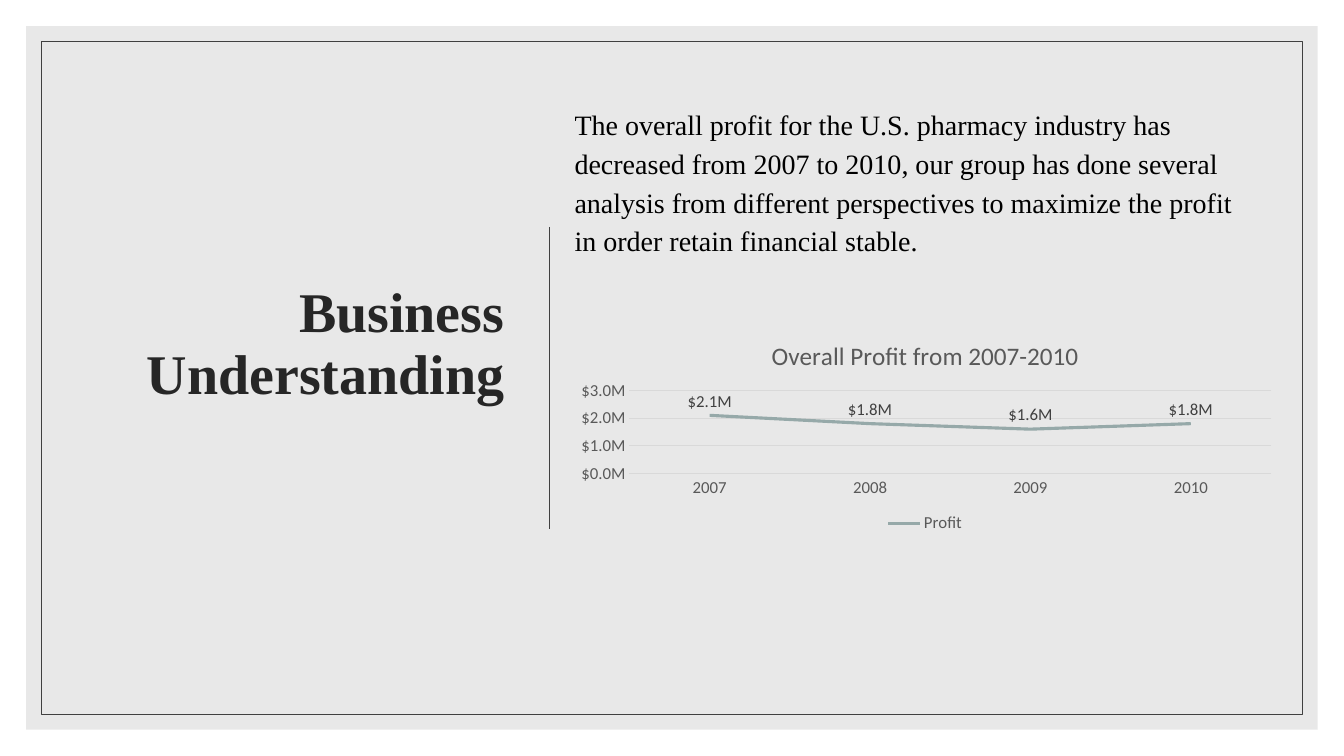
from lxml.etree import SubElement
from pptx import Presentation
from pptx.chart.data import CategoryChartData
from pptx.dml.color import RGBColor
from pptx.enum.chart import (XL_CHART_TYPE, XL_LABEL_POSITION, XL_LEGEND_POSITION,
                             XL_MARKER_STYLE, XL_TICK_MARK)
from pptx.enum.shapes import MSO_CONNECTOR, MSO_SHAPE
from pptx.enum.text import MSO_ANCHOR, PP_ALIGN
from pptx.oxml.ns import qn
from pptx.util import Inches, Pt

WIDE, HIGH = 13.33, 7.5
SERIF, SANS = "Times New Roman", "Calibri"
DARK, GREY, PALE, SAGE = "404040", "595959", "D9D9D9", "96A9A9"
MONEY = '"$"#,##0.0,,"M";\\("$"#,##0.0,,"M"\\)'
BODY = ("The overall profit for the U.S. pharmacy industry has decreased from 2007 "
        "to 2010, our group has done several analysis from different perspectives "
        "to maximize the profit in order retain financial stable.")
PROFIT = {"2007": 2100000, "2008": 1800000, "2009": 1600000, "2010": 1800000}


def paint(color, tone):
    color.rgb = RGBColor.from_string(tone)


def style(font, size, tone, face=SANS, bold=False):
    font.size, font.name, font.bold = Pt(size), face, bold
    paint(font.color, tone)


def stroke(line, tone, width):
    line.fill.solid()
    paint(line.color, tone)
    line.width = Pt(width)


def frame(slide, gap, fill=None, line=None):
    """Rectangle set in from every slide edge by the same gap."""
    box = slide.shapes.add_shape(MSO_SHAPE.RECTANGLE, Inches(gap), Inches(gap),
                                 Inches(WIDE - 2 * gap), Inches(HIGH - 2 * gap))
    box.shadow.inherit = False
    if fill:
        box.fill.solid()
        paint(box.fill.fore_color, fill)
        tint = box.fill._xPr.find(qn("a:solidFill"))[0]
        SubElement(tint, qn("a:alpha"), val="60000")
    else:
        box.fill.background()
    if line:
        stroke(box.line, line, 0.5)
    else:
        box.line.fill.background()


def rule(slide, x, top, end):
    line = slide.shapes.add_connector(MSO_CONNECTOR.STRAIGHT, Inches(x), Inches(top),
                                      Inches(x), Inches(end))
    stroke(line.line, DARK, 1.25)
    SubElement(line._element.spPr, qn("a:effectLst"))


def write(slide, text, area, size, tone, space, anchor, align, bold=False):
    box = slide.shapes.add_textbox(*map(Inches, area))
    body = box.text_frame
    body.word_wrap, body.vertical_anchor = True, anchor
    body.text = text
    para = body.paragraphs[0]
    para.alignment, para.line_spacing = align, space
    style(para.runs[0].font, size, tone, SERIF, bold)


def place(plot, **share):
    """Fix the inner plot area as shares of the chart."""
    old = plot.find(qn("c:layout"))
    if old is not None:
        plot.remove(old)
    outer = plot.makeelement(qn("c:layout"))
    plot.insert(0, outer)
    inner = SubElement(outer, qn("c:manualLayout"))
    SubElement(inner, qn("c:layoutTarget"), val="inner")
    for key in ("xMode", "yMode"):
        SubElement(inner, qn("c:" + key), val="edge")
    for key, val in share.items():
        SubElement(inner, qn("c:" + key), val=str(val))


def graph(slide, area):
    data = CategoryChartData(number_format=MONEY)
    data.categories = list(PROFIT)
    data.add_series("Profit", list(PROFIT.values()))
    chart = slide.shapes.add_chart(XL_CHART_TYPE.LINE, *map(Inches, area), data).chart
    style(chart.font, 12, GREY)

    # Title and legend
    chart.has_title = True
    head = chart.chart_title.text_frame
    head.text = "Overall Profit from 2007-2010"
    style(head.paragraphs[0].runs[0].font, 18, GREY)
    chart.has_legend = True
    chart.legend.position = XL_LEGEND_POSITION.BOTTOM
    chart.legend.include_in_layout = False
    style(chart.legend.font, 12, GREY)

    # Axes
    years, money = chart.category_axis, chart.value_axis
    for axis in (years, money):
        axis.major_tick_mark = axis.minor_tick_mark = XL_TICK_MARK.NONE
        style(axis.tick_labels.font, 12, GREY)
    stroke(years.format.line, PALE, 0.75)
    money.format.line.fill.background()
    stroke(money.major_gridlines.format.line, PALE, 0.75)
    money.minimum_scale, money.maximum_scale, money.major_unit = 0, 3000000, 1000000
    money.tick_labels.number_format = MONEY
    money.tick_labels.number_format_is_linked = False

    # Series and its labels
    plot = chart.plots[0]
    plot.vary_by_categories = False
    curve = plot.series[0]
    curve.smooth = False
    curve.marker.style = XL_MARKER_STYLE.NONE
    stroke(curve.format.line, SAGE, 2.25)
    tags = curve.data_labels
    tags.show_value, tags.position = True, XL_LABEL_POSITION.ABOVE
    tags.number_format, tags.number_format_is_linked = MONEY, False
    style(tags.font, 12, DARK)
    place(chart._chartSpace.chart.plotArea, x=0.09, y=0.31, w=0.89, h=0.39)


def main():
    deck = Presentation()
    deck.slide_width, deck.slide_height = Inches(WIDE), Inches(HIGH)
    slide = deck.slides.add_slide(deck.slide_layouts[6])

    # Backdrop
    frame(slide, 0.26, fill=PALE)
    frame(slide, 0.41, line=DARK)

    # Title, divider and body
    write(slide, "Business Understanding", (0.79, 0.97, 4.31, 4.9), 40, "262626",
          0.93, MSO_ANCHOR.MIDDLE, PP_ALIGN.RIGHT, bold=True)
    rule(slide, 5.45, 0.3 * HIGH, 0.7 * HIGH)
    write(slide, BODY, (5.6, 0.97, 6.74, 1.6), 20, "000000",
          1.15, MSO_ANCHOR.TOP, PP_ALIGN.LEFT)

    # Profit chart
    graph(slide, (5.6, 3.22, 7.15, 2.11))
    deck.save("out.pptx")


if __name__ == "__main__":
    main()
